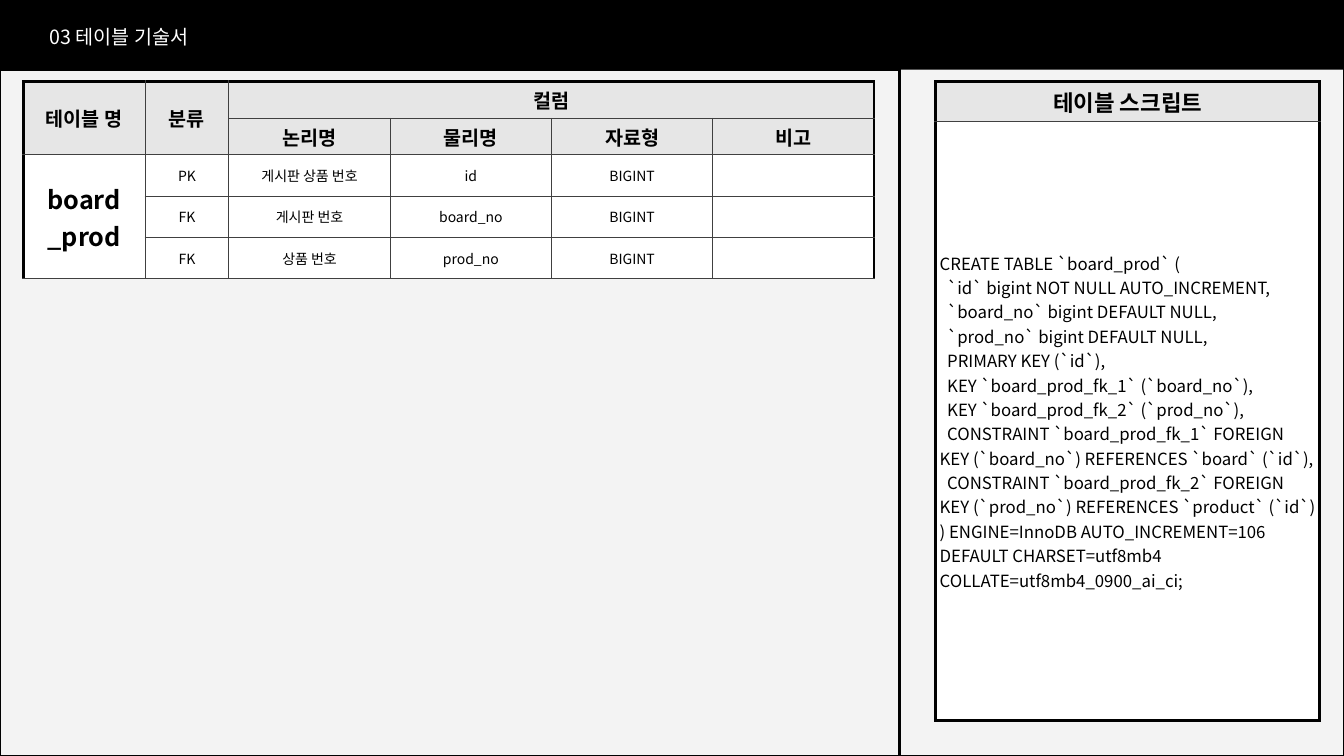
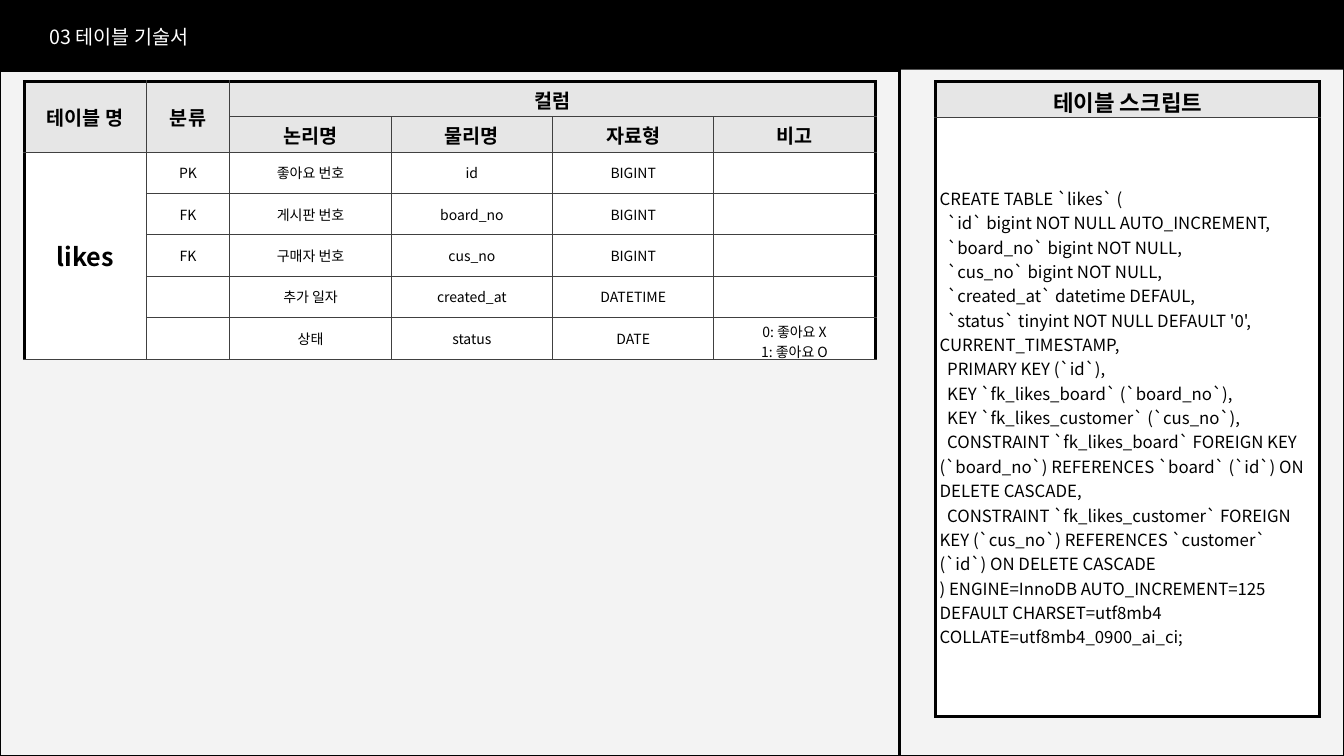
import pptx
import pptx.dml.color
import pptx.enum.shapes
import pptx.enum.text
import pptx.oxml.ns
import pptx.util
from lxml import etree

Inches = pptx.util.Inches
Pt = pptx.util.Pt
ALIGN = pptx.enum.text.PP_ALIGN
ANCHOR = pptx.enum.text.MSO_ANCHOR


class Theme:
    font = "Noto Sans CJK KR"
    black = "000000"
    white = "FFFFFF"
    page = "F3F3F3"
    header = "E6E6E6"
    grid = "404040"
    title_size = 14
    header_size = 14
    name_size = 18
    body_size = 10
    script_header_size = 16
    script_size = 12
    frame_width = 2.25
    grid_width = 0.75
    panel_width = 1.5
    cell_margin = 0.04


PAGE_WIDTH, PAGE_HEIGHT = 13.33, 7.5
BAND_HEIGHT = 0.69
TABLE_TOP = 0.81
COLUMN_WIDTHS = [1.21, 0.83] + [1.6] * 4
HEADER_ROW, BODY_ROW = 0.35, 0.41
SCRIPT_LEFT, SCRIPT_WIDTH, SCRIPT_ROWS = 9.28, 3.81, [0.36, 5.94]

TITLE = "03 테이블 기술서"
SCRIPT_TITLE = "테이블 스크립트"
HEADERS = [
    ["테이블 명", "분류", "컬럼", "", "", ""],
    ["", "", "논리명", "물리명", "자료형", "비고"],
]
PAGES = [
    {
        "name": "board\n_prod",
        "panel_top": 0.69,
        "table_left": 0.23,
        "columns": [
            ("PK", "게시판 상품 번호", "id", "BIGINT", ""),
            ("FK", "게시판 번호", "board_no", "BIGINT", ""),
            ("FK", "상품 번호", "prod_no", "BIGINT", ""),
        ],
        "script": [
            "CREATE TABLE `board_prod` (",
            "  `id` bigint NOT NULL AUTO_INCREMENT,",
            "  `board_no` bigint DEFAULT NULL,",
            "  `prod_no` bigint DEFAULT NULL,",
            "  PRIMARY KEY (`id`),",
            "  KEY `board_prod_fk_1` (`board_no`),",
            "  KEY `board_prod_fk_2` (`prod_no`),",
            "  CONSTRAINT `board_prod_fk_1` FOREIGN KEY (`board_no`) REFERENCES `board` (`id`),",
            "  CONSTRAINT `board_prod_fk_2` FOREIGN KEY (`prod_no`) REFERENCES `product` (`id`)",
            ") ENGINE=InnoDB AUTO_INCREMENT=106 DEFAULT CHARSET=utf8mb4 COLLATE=utf8mb4_0900_ai_ci;",
        ],
    },
    {
        "name": "likes",
        "panel_top": 0.7,
        "table_left": 0.24,
        "columns": [
            ("PK", "좋아요 번호", "id", "BIGINT", ""),
            ("FK", "게시판 번호", "board_no", "BIGINT", ""),
            ("FK", "구매자 번호", "cus_no", "BIGINT", ""),
            ("", "추가 일자", "created_at", "DATETIME", ""),
            ("", "상태", "status", "DATE", ["0: 좋아요 X", "1: 좋아요 O"]),
        ],
        "script": [
            "CREATE TABLE `likes` (",
            "  `id` bigint NOT NULL AUTO_INCREMENT,",
            "  `board_no` bigint NOT NULL,",
            "  `cus_no` bigint NOT NULL,",
            "  `created_at` datetime DEFAUL,",
            "  `status` tinyint NOT NULL DEFAULT '0', CURRENT_TIMESTAMP,",
            "  PRIMARY KEY (`id`),",
            "  KEY `fk_likes_board` (`board_no`),",
            "  KEY `fk_likes_customer` (`cus_no`),",
            "  CONSTRAINT `fk_likes_board` FOREIGN KEY (`board_no`) REFERENCES `board` (`id`) ON DELETE CASCADE,",
            "  CONSTRAINT `fk_likes_customer` FOREIGN KEY (`cus_no`) REFERENCES `customer` (`id`) ON DELETE CASCADE",
            ") ENGINE=InnoDB AUTO_INCREMENT=125 DEFAULT CHARSET=utf8mb4 COLLATE=utf8mb4_0900_ai_ci;",
        ],
    },
]


def color(value):
    return pptx.dml.color.RGBColor.from_string(value)


def child(parent, tag, **attributes):
    return etree.SubElement(parent, pptx.oxml.ns.qn(tag), **attributes)


def write(frame, text, size, ink=Theme.black, bold=False, align=ALIGN.LEFT):
    lines = [text] if isinstance(text, str) else text
    for index, line in enumerate(lines):
        paragraph = frame.paragraphs[0] if index == 0 else frame.add_paragraph()
        paragraph.alignment = align
        if not line:
            child(paragraph._p, "a:endParaRPr", sz=str(size * 100))
            continue
        paragraph.text = line
        for span in paragraph.runs:
            span.font.size = Pt(size)
            span.font.bold = bold
            span.font.name = Theme.font
            span.font.color.rgb = color(ink)
            child(span._r.get_or_add_rPr(), "a:ea", typeface=Theme.font)


def add_box(page, left, top, width, height, fill=None, line=None):
    box = page.shapes.add_shape(
        pptx.enum.shapes.MSO_SHAPE.RECTANGLE,
        Inches(left), Inches(top), Inches(width), Inches(height))
    box.shadow.inherit = False
    if fill:
        box.fill.solid()
        box.fill.fore_color.rgb = color(fill)
    else:
        box.fill.background()
    if line:
        box.line.color.rgb = color(line)
        box.line.width = Pt(Theme.panel_width)
    else:
        box.line.fill.background()


def add_grid(page, left, widths, heights):
    table = page.shapes.add_table(
        len(heights), len(widths), Inches(left), Inches(TABLE_TOP),
        Inches(sum(widths)), Inches(sum(heights))).table
    table.first_row = table.horz_banding = False
    for column, width in zip(table.columns, widths):
        column.width = Inches(width)
    for row, height in zip(table.rows, heights):
        row.height = Inches(height)
    return table


def style_cell(cell, fill, thick_sides):
    properties = cell._tc.get_or_add_tcPr()
    for side in "LRTB":
        thick = side in thick_sides
        width = Theme.frame_width if thick else Theme.grid_width
        line = child(properties, "a:ln" + side, w=str(Pt(width)))
        ink = Theme.black if thick else Theme.grid
        child(child(line, "a:solidFill"), "a:srgbClr", val=ink)
    cell.fill.solid()
    cell.fill.fore_color.rgb = color(fill)
    cell.vertical_anchor = ANCHOR.MIDDLE
    margin = Inches(Theme.cell_margin)
    cell.margin_left = cell.margin_right = margin
    cell.margin_top = cell.margin_bottom = margin


def add_description(page, content):
    records = content["columns"]
    rows = HEADERS + [
        [content["name"] if index == 0 else "", *record]
        for index, record in enumerate(records)]
    heights = [HEADER_ROW] * len(HEADERS) + [BODY_ROW] * len(records)
    table = add_grid(page, content["table_left"], COLUMN_WIDTHS, heights)
    last_column, last_row = len(COLUMN_WIDTHS) - 1, len(rows) - 1
    for first, last in [((0, 0), (1, 0)), ((0, 1), (1, 1)),
                        ((0, 2), (0, last_column)), ((2, 0), (last_row, 0))]:
        table.cell(*first).merge(table.cell(*last))
    for row, texts in enumerate(rows):
        in_header = row < len(HEADERS)
        for column, text in enumerate(texts):
            cell = table.cell(row, column)
            right_edge = column + cell.span_width - 1 if cell.is_merge_origin else column
            thick = ("L" if column == 0 else "") + ("T" if row == 0 else "")
            thick += "R" if right_edge == last_column else ""
            style_cell(cell, Theme.header if in_header else Theme.white, thick)
            size = Theme.header_size if in_header else Theme.body_size
            if column == 0 and not in_header and text:
                size = Theme.name_size
            write(cell.text_frame, text, size, align=ALIGN.CENTER,
                  bold=in_header or column == 0)


def add_script(page, lines):
    table = add_grid(page, SCRIPT_LEFT, [SCRIPT_WIDTH], SCRIPT_ROWS)
    heading, body = table.cell(0, 0), table.cell(1, 0)
    style_cell(heading, Theme.header, "LRT")
    style_cell(body, Theme.white, "LRB")
    write(heading.text_frame, SCRIPT_TITLE, Theme.script_header_size,
          bold=True, align=ALIGN.CENTER)
    write(body.text_frame, lines, Theme.script_size)


def add_title(page):
    box = page.shapes.add_textbox(Inches(0.39), Inches(0.2), Inches(6.67), Inches(0.34))
    box.text_frame.word_wrap = True
    write(box.text_frame, TITLE, Theme.title_size, ink=Theme.white)


def build_page(deck, content):
    page = deck.slides.add_slide(deck.slide_layouts[6])
    page.background.fill.solid()
    page.background.fill.fore_color.rgb = color(Theme.page)
    add_box(page, 0, 0, PAGE_WIDTH, BAND_HEIGHT, fill=Theme.black)
    top = content["panel_top"]
    add_box(page, 0, top, 8.92, PAGE_HEIGHT - top, line=Theme.black)
    add_box(page, 8.93, 0.39, 4.4, 7.11, line=Theme.black)
    add_description(page, content)
    add_script(page, content["script"])
    add_title(page)


def main():
    deck = pptx.Presentation()
    deck.slide_width = Inches(PAGE_WIDTH)
    deck.slide_height = Inches(PAGE_HEIGHT)
    for content in PAGES:
        build_page(deck, content)
    deck.save("out.pptx")


if __name__ == "__main__":
    main()
